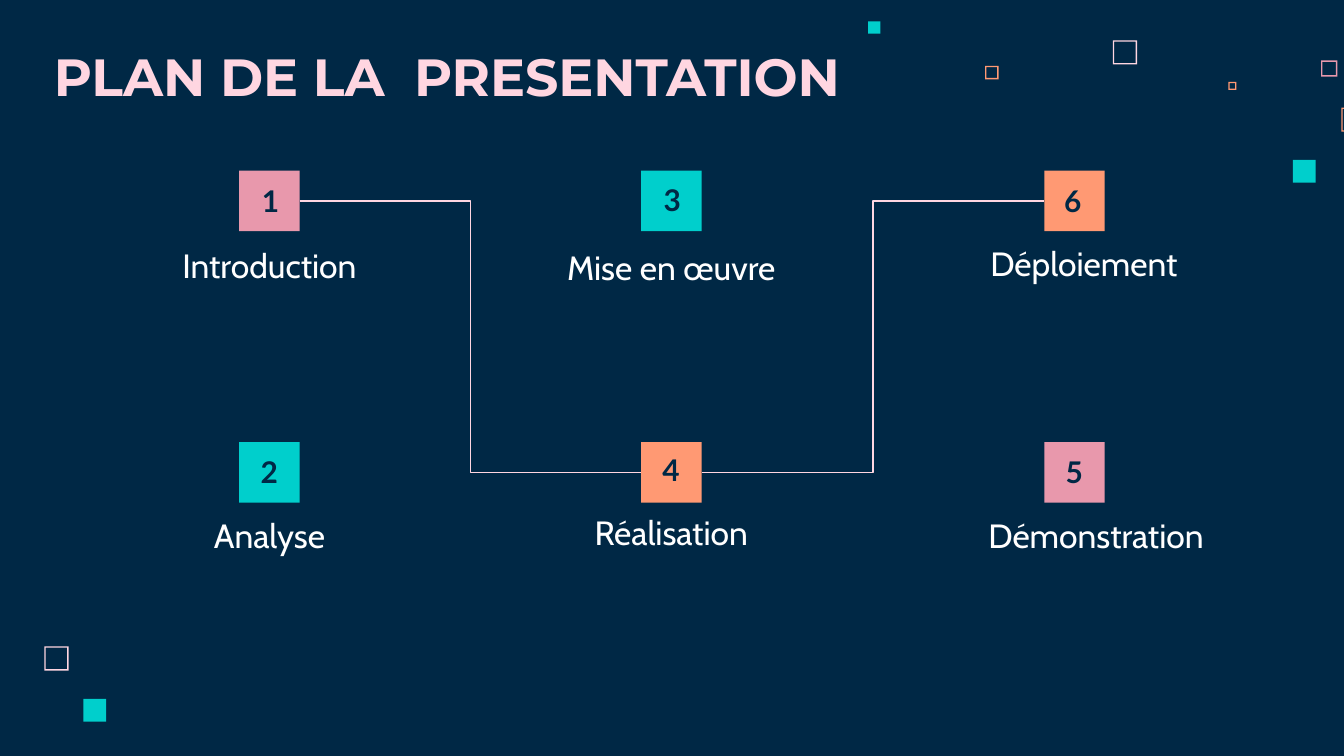
from dataclasses import dataclass

from lxml.etree import SubElement
from pptx import Presentation
from pptx.dml.color import RGBColor
from pptx.enum.shapes import MSO_CONNECTOR, MSO_SHAPE
from pptx.enum.text import MSO_ANCHOR, MSO_AUTO_SIZE, PP_ALIGN
from pptx.oxml.ns import qn
from pptx.shapes.autoshape import Shape
from pptx.slide import Slide
from pptx.text.text import TextFrame
from pptx.util import Inches, Pt

NAVY = "002845"
BLUSH = "FFD6E1"
PINK = "E898AC"
ORANGE = "FF9973"
TEAL = "00CFCC"
WHITE = "FFFFFF"

SLIDE_WIDTH = 10
SLIDE_HEIGHT = SLIDE_WIDTH * 9 / 16
MARKER_SIZE = 0.45
COLUMNS = [1.78, 4.77, 7.77]
ROWS = [1.27, 3.29]
FRAME_THICKNESS = 0.01

TITLE_FORMAT = {"name": "Montserrat", "size": Pt(28), "bold": True}
NUMBER_FORMAT = {"name": "Lato", "size": Pt(16), "bold": True}
LABEL_FORMAT = {"name": "Cabin", "size": Pt(18), "bold": False}


@dataclass
class Box:
    left: float
    top: float
    width: float
    height: float


@dataclass
class Decoration:
    left: float
    top: float
    size: float
    color: str
    hollow: bool


@dataclass
class Step:
    number: str
    label: str
    column: int
    row: int
    color: str
    number_box: Box
    label_box: Box


DECORATIONS = [
    Decoration(8.28, 0.3, 0.18, BLUSH, True),
    Decoration(9.83, 0.45, 0.12, PINK, True),
    Decoration(9.14, 0.61, 0.06, ORANGE, True),
    Decoration(9.98, 0.8, 0.18, ORANGE, True),
    Decoration(9.62, 1.19, 0.17, TEAL, False),
    Decoration(7.33, 0.49, 0.1, ORANGE, True),
    Decoration(6.46, 0.16, 0.09, TEAL, False),
    Decoration(0.33, 4.81, 0.18, BLUSH, True),
    Decoration(0.62, 5.2, 0.17, TEAL, False),
]

STEPS = [
    Step("1", "Introduction", 0, 0, PINK, Box(1.85, 1.31, 0.32, 0.37), Box(1.19, 1.72, 1.63, 0.45)),
    Step("2", "Analyse", 0, 1, TEAL, Box(1.84, 3.33, 0.29, 0.37), Box(1.19, 3.73, 1.63, 0.45)),
    Step("3", "Mise en œuvre", 1, 0, TEAL, Box(4.84, 1.3, 0.32, 0.37), Box(3.96, 1.74, 2.07, 0.6)),
    Step("4", "Réalisation", 1, 1, ORANGE, Box(4.83, 3.31, 0.32, 0.37), Box(4.18, 3.71, 1.63, 0.45)),
    Step("5", "Démonstration", 2, 1, PINK, Box(7.83, 3.33, 0.31, 0.37), Box(7.18, 3.73, 1.95, 0.45)),
    Step("6", "Déploiement", 2, 0, ORANGE, Box(7.82, 1.31, 0.67, 0.37), Box(7.25, 1.71, 1.63, 0.45)),
]

LINKS = [("1", "4"), ("4", "6")]
LEFT_SITE, RIGHT_SITE = 1, 3


def rgb(color: str) -> RGBColor:
    return RGBColor.from_string(color)


def box_lengths(box: Box) -> list[int]:
    return [Inches(value) for value in (box.left, box.top, box.width, box.height)]


def add_square(slide: Slide, left: float, top: float, size: float, color: str, hollow: bool = False) -> Shape:
    preset = MSO_SHAPE.FRAME if hollow else MSO_SHAPE.RECTANGLE
    shape = slide.shapes.add_shape(preset, *box_lengths(Box(left, top, size, size)))
    if hollow:
        shape.adjustments[0] = FRAME_THICKNESS / size
    shape.shadow.inherit = False
    shape.fill.solid()
    shape.fill.fore_color.rgb = rgb(color)
    shape.line.fill.background()
    return shape


def write_text(frame: TextFrame, text: str, font_format: dict, color: str, alignment: PP_ALIGN) -> None:
    frame.word_wrap = True
    paragraph = frame.paragraphs[0]
    paragraph.alignment = alignment
    run = paragraph.add_run()
    run.text = text
    for attribute, value in font_format.items():
        setattr(run.font, attribute, value)
    run.font.color.rgb = rgb(color)


def set_margins(frame: TextFrame, margin: float) -> None:
    for side in ("left", "top", "right", "bottom"):
        setattr(frame, f"margin_{side}", Inches(margin))


def add_title(slide: Slide, text: str, box: Box) -> None:
    title = slide.shapes.title
    title.left, title.top, title.width, title.height = box_lengths(box)
    frame = title.text_frame
    set_margins(frame, 0.1)
    frame.auto_size = MSO_AUTO_SIZE.NONE
    frame.vertical_anchor = MSO_ANCHOR.BOTTOM
    write_text(frame, text, TITLE_FORMAT, BLUSH, PP_ALIGN.LEFT)


def add_link(slide: Slide, start: Shape, end: Shape) -> None:
    connector = slide.shapes.add_connector(MSO_CONNECTOR.ELBOW, 0, 0, 0, 0)
    connector.begin_connect(start, RIGHT_SITE)
    connector.end_connect(end, LEFT_SITE)
    connector.line.color.rgb = rgb(BLUSH)
    connector.line.width = Pt(0.75)
    SubElement(connector._element.spPr, qn("a:effectLst"))


def add_step_text(slide: Slide, step: Step) -> None:
    number_frame = slide.shapes.add_textbox(*box_lengths(step.number_box)).text_frame
    write_text(number_frame, step.number, NUMBER_FORMAT, NAVY, PP_ALIGN.LEFT)
    number_frame.auto_size = MSO_AUTO_SIZE.SHAPE_TO_FIT_TEXT
    label_frame = slide.shapes.add_textbox(*box_lengths(step.label_box)).text_frame
    set_margins(label_frame, 0.1)
    write_text(label_frame, step.label, LABEL_FORMAT, WHITE, PP_ALIGN.CENTER)


def main() -> None:
    presentation = Presentation()
    presentation.slide_width = Inches(SLIDE_WIDTH)
    presentation.slide_height = Inches(SLIDE_HEIGHT)
    slide = presentation.slides.add_slide(presentation.slide_layouts[5])
    slide.background.fill.solid()
    slide.background.fill.fore_color.rgb = rgb(NAVY)

    for item in DECORATIONS:
        add_square(slide, item.left, item.top, item.size, item.color, item.hollow)
    add_title(slide, "PLAN DE LA  PRESENTATION", Box(0.3, 0.11, 6.79, 0.79))

    markers = {
        step.number: add_square(slide, COLUMNS[step.column], ROWS[step.row], MARKER_SIZE, step.color)
        for step in STEPS
    }
    for start, end in LINKS:
        add_link(slide, markers[start], markers[end])
    for step in STEPS:
        add_step_text(slide, step)

    presentation.save("out.pptx")


if __name__ == "__main__":
    main()
